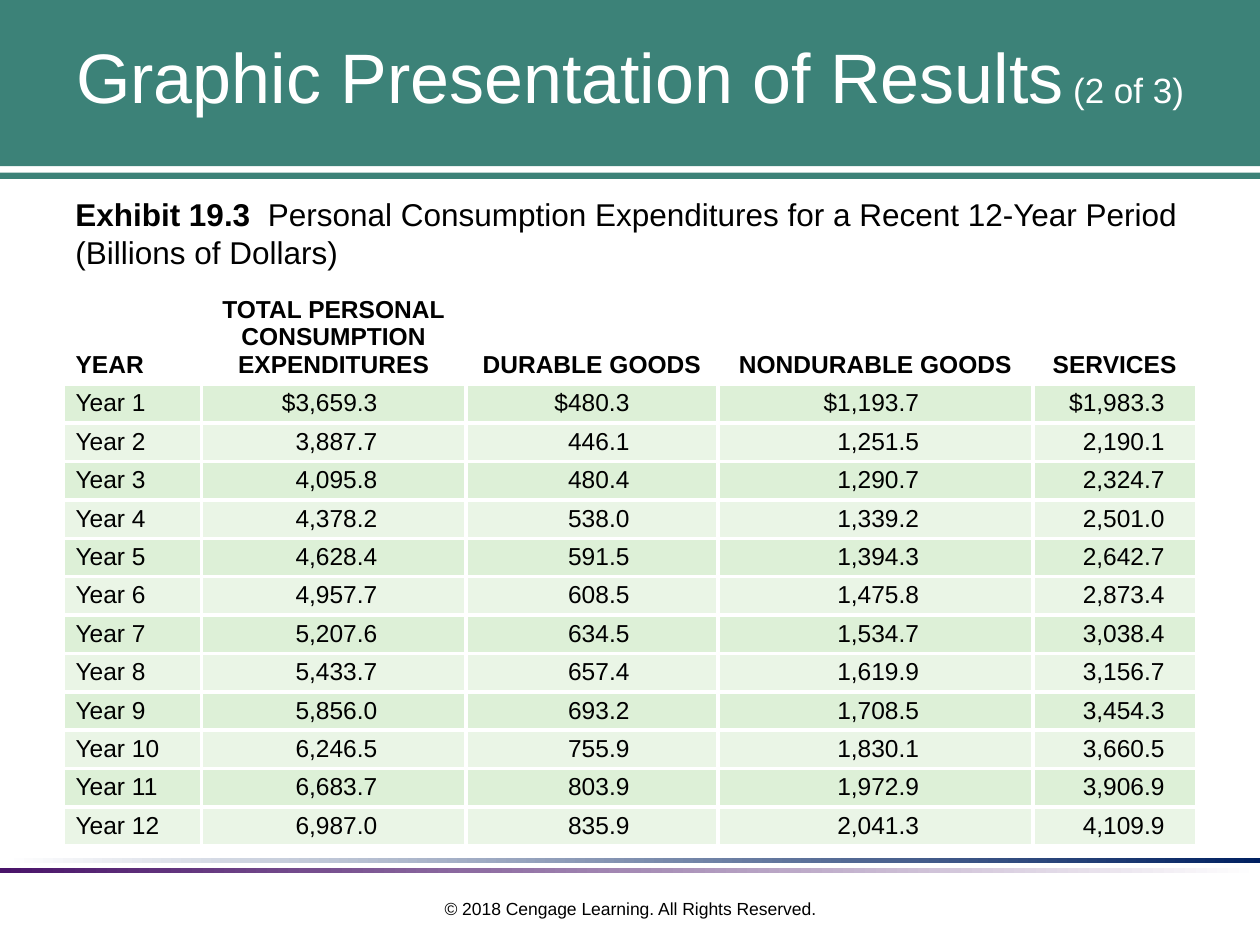
from pptx import Presentation
from pptx.dml.color import RGBColor
from pptx.enum.shapes import MSO_SHAPE
from pptx.enum.text import MSO_ANCHOR as Anchor, PP_ALIGN as Align
from pptx.oxml import parse_xml
from pptx.oxml.ns import nsdecls
from pptx.util import Cm, Pt

COLORS = {
    "teal": "3C8278", "purple": "491469", "navy": "002060", "white": "FFFFFF",
    "black": "000000", "band_dark": "DDF0D7", "band_light": "EAF5E6",
}
HEADERS = ["YEAR", "TOTAL PERSONAL\nCONSUMPTION\nEXPENDITURES", "DURABLE GOODS",
           "NONDURABLE GOODS", "SERVICES"]
EXPENDITURES = [
    ["$3,659.3", "$480.3", "$1,193.7", "$1,983.3"],
    ["3,887.7", "446.1", "1,251.5", "2,190.1"],
    ["4,095.8", "480.4", "1,290.7", "2,324.7"],
    ["4,378.2", "538.0", "1,339.2", "2,501.0"],
    ["4,628.4", "591.5", "1,394.3", "2,642.7"],
    ["4,957.7", "608.5", "1,475.8", "2,873.4"],
    ["5,207.6", "634.5", "1,534.7", "3,038.4"],
    ["5,433.7", "657.4", "1,619.9", "3,156.7"],
    ["5,856.0", "693.2", "1,708.5", "3,454.3"],
    ["6,246.5", "755.9", "1,830.1", "3,660.5"],
    ["6,683.7", "803.9", "1,972.9", "3,906.9"],
    ["6,987.0", "835.9", "2,041.3", "4,109.9"],
]
COLUMN_WIDTHS = [2.79, 5.33, 5.08, 6.35, 3.3]
RIGHT_MARGINS = [0.25, 1.78, 1.78, 2.29, 0.64]
HEADER_HEIGHT, ROW_HEIGHT = 1.91, 0.73


def rgb(name):
    """Return the named colour."""
    return RGBColor.from_string(COLORS[name])


def apply_format(target, values):
    """Set each attribute of the target from a dict of values."""
    for name, value in values.items():
        setattr(target, name, value)


def format_font(font, size, color="black", bold=False):
    """Set the typeface, size, weight and colour of a font."""
    apply_format(font, {"name": "Arial", "size": Pt(size), "bold": bold})
    font.color.rgb = rgb(color)


def add_bar(slide, box, *colors):
    """Add a borderless bar, with a left-to-right gradient if two colours are given."""
    shape = slide.shapes.add_shape(MSO_SHAPE.RECTANGLE, *map(Cm, box))
    shape.shadow.inherit = False
    shape.line.fill.background()
    if len(colors) == 1:
        shape.fill.solid()
        shape.fill.fore_color.rgb = rgb(colors[0])
        return
    shape.fill.gradient()
    shape.fill.gradient_angle = 0
    for stop, color in zip(shape.fill.gradient_stops, colors):
        stop.color.rgb = rgb(color)


def add_text(slide, box, runs, align=Align.LEFT, anchor=Anchor.TOP):
    """Add a one-paragraph text box from (text, font values) runs."""
    frame = slide.shapes.add_textbox(*map(Cm, box)).text_frame
    apply_format(frame, {"word_wrap": True, "vertical_anchor": anchor})
    paragraph = frame.paragraphs[0]
    paragraph.alignment = align
    for text, values in runs:
        run = paragraph.add_run()
        run.text = text
        format_font(run.font, **values)


def add_borders(cell):
    """Give a cell white borders on all four sides."""
    properties = cell._tc.get_or_add_tcPr()
    for side in ("lnL", "lnR", "lnT", "lnB"):
        properties.append(parse_xml(
            f'<a:{side} {nsdecls("a")} w="{Pt(2.25)}"><a:solidFill>'
            f'<a:srgbClr val="{COLORS["white"]}"/></a:solidFill></a:{side}>'))


def fill_cell(cell, text, align, values, color=None, bold=False):
    """Write and format one table cell."""
    add_borders(cell)
    if color:
        cell.fill.solid()
        cell.fill.fore_color.rgb = rgb(color)
    else:
        cell.fill.background()
    apply_format(cell, values)
    cell.text_frame.text = text
    for paragraph in cell.text_frame.paragraphs:
        paragraph.alignment = align
        format_font(paragraph.font, 14, bold=bold)


def add_expenditure_table(slide):
    """Add the banded table of yearly expenditures."""
    count = len(EXPENDITURES)
    box = (1.27, 5.72, sum(COLUMN_WIDTHS), HEADER_HEIGHT + count * ROW_HEIGHT)
    table = slide.shapes.add_table(count + 1, len(HEADERS), *map(Cm, box)).table
    apply_format(table, {"first_row": False, "horz_banding": False})
    for column, width in zip(table.columns, COLUMN_WIDTHS):
        column.width = Cm(width)
    for index, row in enumerate(table.rows):
        row.height = Cm(ROW_HEIGHT if index else HEADER_HEIGHT)
    for column, header in enumerate(HEADERS):
        fill_cell(table.cell(0, column), header, Align.CENTER if column else Align.LEFT,
                  {"vertical_anchor": Anchor.BOTTOM}, bold=True)
    for year, amounts in enumerate(EXPENDITURES, 1):
        color = "band_dark" if year % 2 else "band_light"
        for column, text in enumerate([f"Year {year}", *amounts]):
            margins = {"margin_top": Cm(0.1), "margin_bottom": Cm(0.08),
                       "margin_right": Cm(RIGHT_MARGINS[column])}
            fill_cell(table.cell(year, column), text,
                      Align.RIGHT if column else Align.LEFT, margins, color)


def main():
    """Build and save the slide."""
    presentation = Presentation()
    apply_format(presentation, {"slide_width": Cm(25.4), "slide_height": Cm(19.05)})
    slide = presentation.slides.add_slide(presentation.slide_layouts[6])
    add_bar(slide, (0, -0.1, 25.4, 3.45), "teal")
    add_bar(slide, (0, 17.5, 25.4, 0.1), "purple", "white")
    add_bar(slide, (0.08, 17.3, 25.4, 0.1), "white", "navy")
    add_bar(slide, (0, 3.48, 25.4, 0.13), "teal")
    add_text(slide, (8.64, 17.98, 8.13, 0.76),
             [("© 2018 Cengage Learning. All Rights Reserved.", {"size": 10})], Align.CENTER)
    add_text(slide, (0.64, 0, 24.13, 3.05),
             [("Graphic Presentation of Results", {"size": 40, "color": "white"}),
              (" (2 of 3)", {"size": 20, "color": "white"})], Align.CENTER, Anchor.MIDDLE)
    add_text(slide, (1.27, 3.81, 22.86, 1.73),
             [("Exhibit 19.3  ", {"size": 18, "bold": True}),
              ("Personal Consumption Expenditures for a Recent 12-Year Period "
               "(Billions of Dollars)", {"size": 18})])
    add_expenditure_table(slide)
    presentation.save("out.pptx")


if __name__ == "__main__":
    main()
